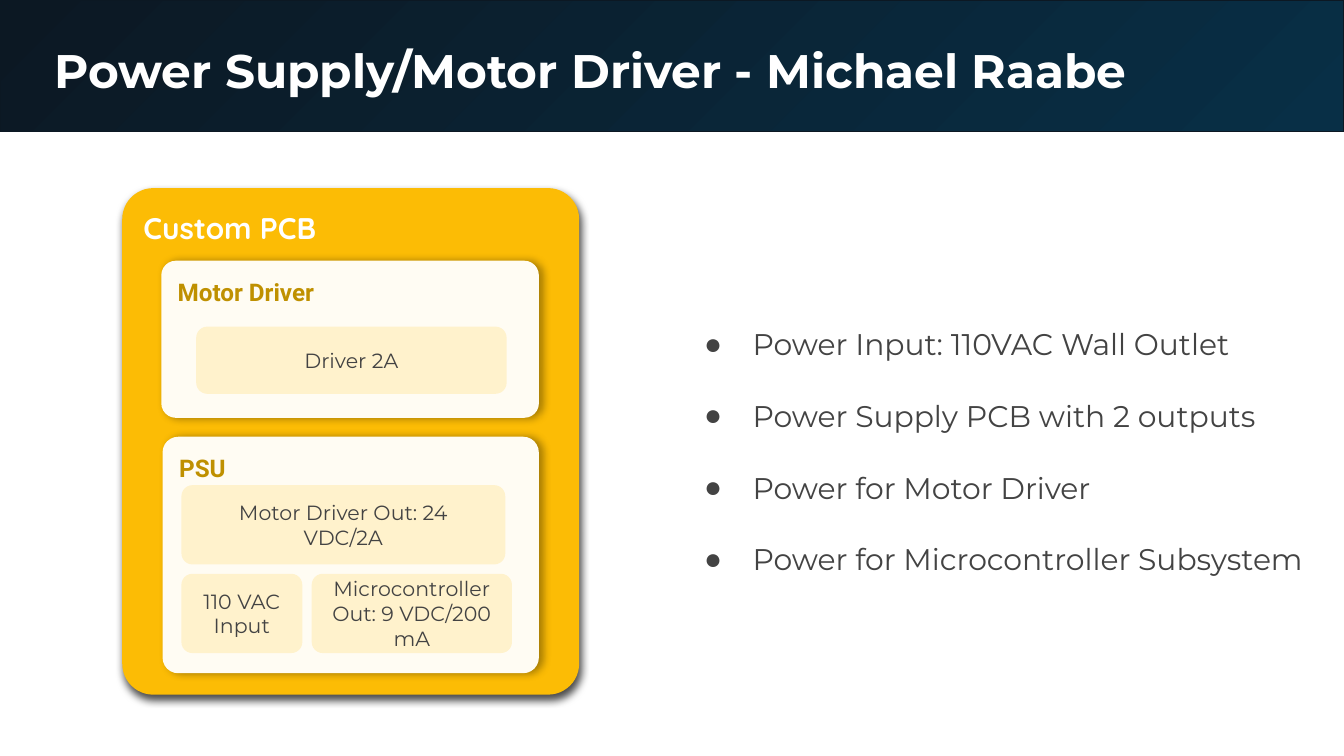
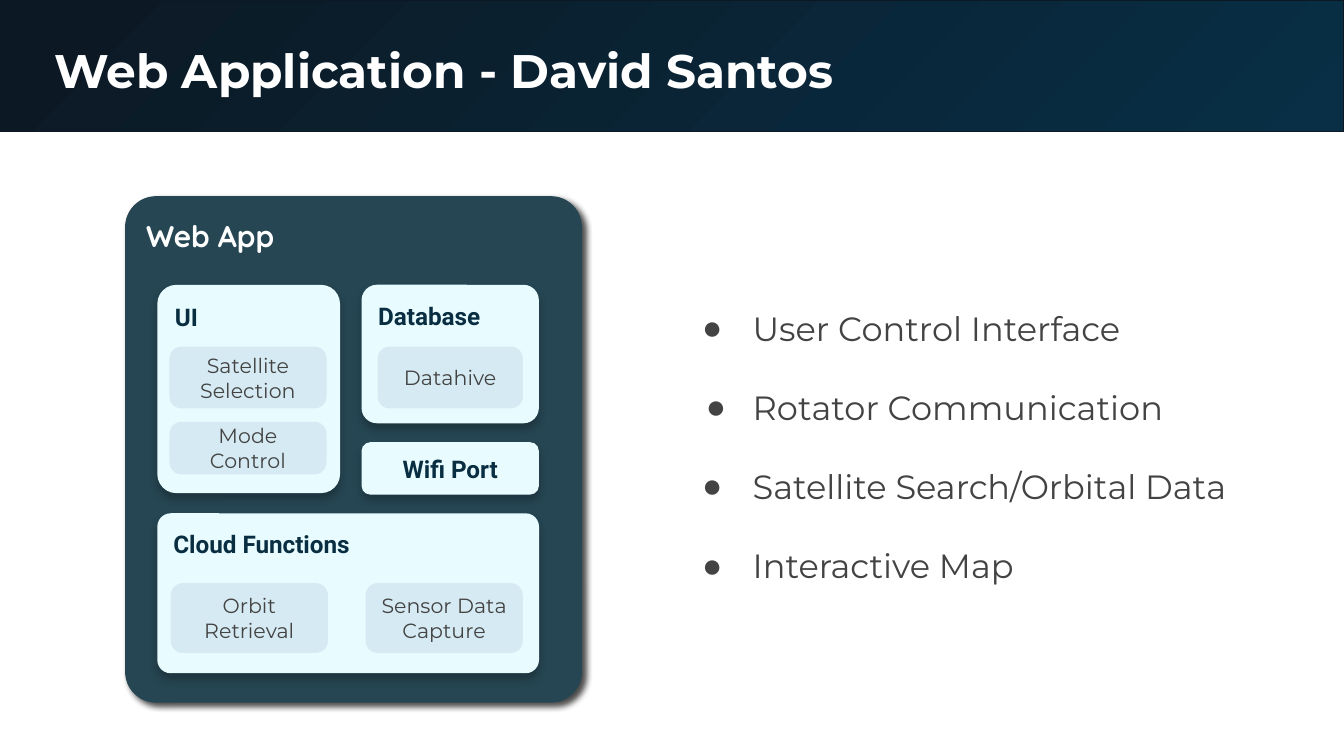
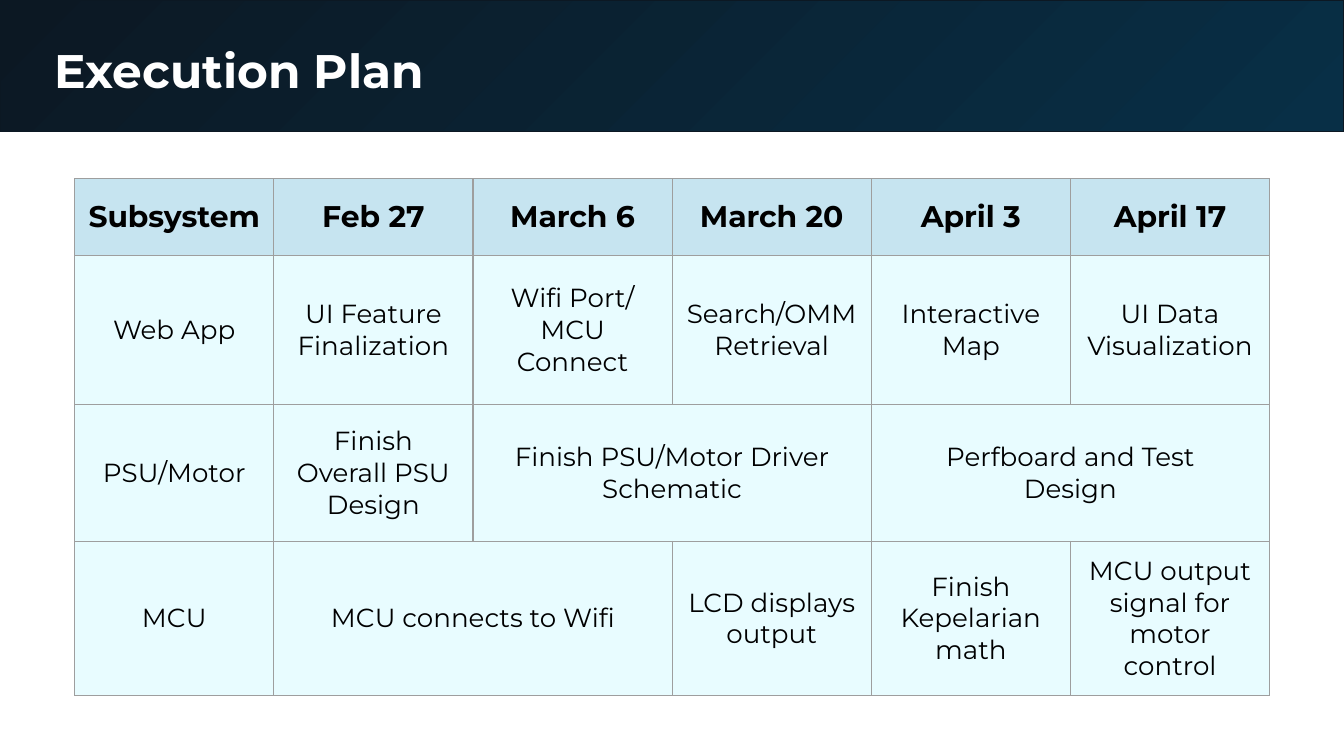
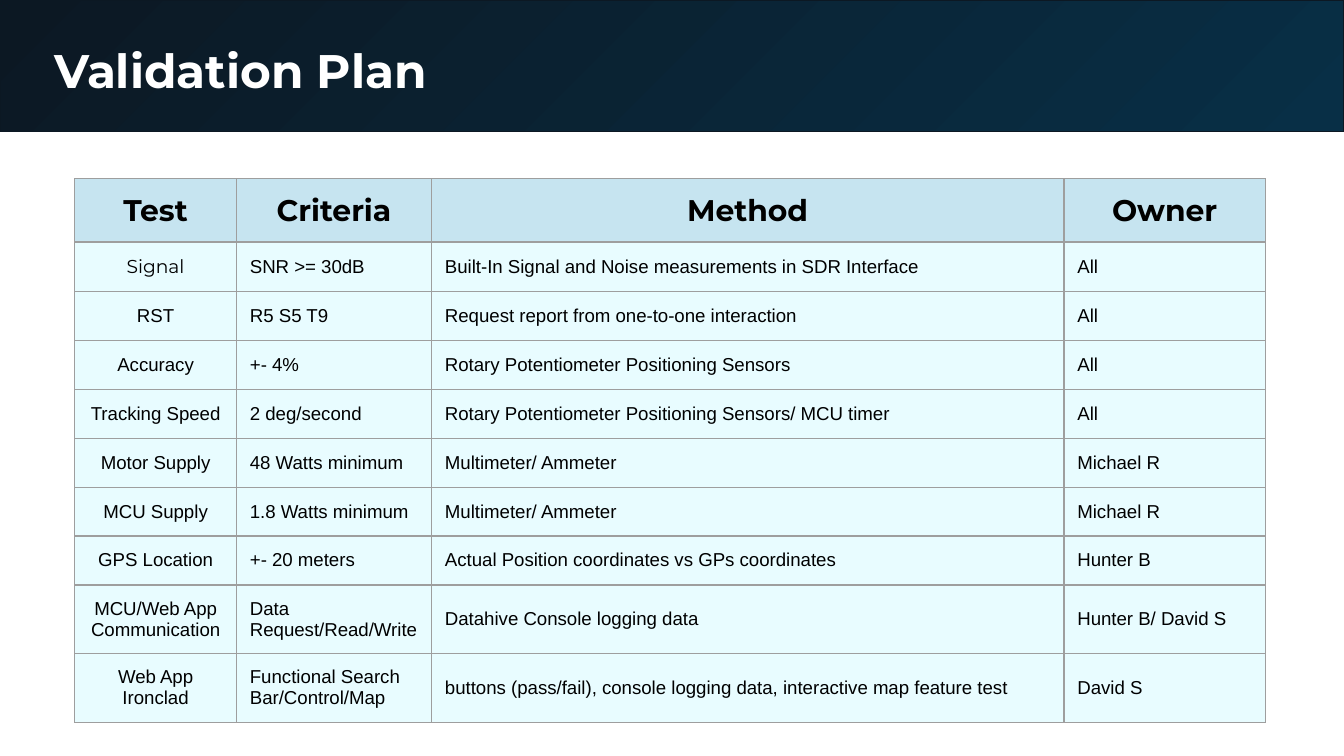
from collections import namedtuple
from dataclasses import dataclass

from lxml import etree
from pptx import Presentation
from pptx.dml.color import RGBColor
from pptx.enum.shapes import MSO_SHAPE
from pptx.enum.text import MSO_ANCHOR, MSO_AUTO_SIZE, PP_ALIGN
from pptx.oxml.ns import qn
from pptx.util import Pt

RECTANGLE, ROUNDED = MSO_SHAPE.RECTANGLE, MSO_SHAPE.ROUNDED_RECTANGLE
TOP, MIDDLE = MSO_ANCHOR.TOP, MSO_ANCHOR.MIDDLE
LEFT, CENTER = PP_ALIGN.LEFT, PP_ALIGN.CENTER
NO_AUTOFIT = MSO_AUTO_SIZE.NONE

Box = namedtuple("Box", "x y w h")
Font = namedtuple("Font", "name size color bold", defaults=(False,))
Shadow = namedtuple("Shadow", "alpha blur distance angle")
Scheme = namedtuple("Scheme", "card panel heading chip chip_radius chip_inset card_shadow panel_shadow")
Panel = namedtuple("Panel", "heading box radius chips")
Bullets = namedtuple("Bullets", "size line_spacing gap hang")


@dataclass(frozen=True)
class Theme:
    sans: str = "Montserrat"
    bullet_font: str = "Arial"
    band_light: str = "082F46"
    band_dark: str = "0C1823"
    body: str = "434343"
    header_fill: str = "C6E4F0"
    cell_fill: str = "E8FCFF"
    border: str = "9E9E9E"
    border_width: float = 0.75
    card_radius: float = 16.6
    card_inset: float = 6.5
    inset: float = 7.2
    title: Font = Font("Montserrat", 25.2, "FFFFFF", True)
    card_title: Font = Font("Quicksand", 16, "FFFFFF", True)
    chip: Font = Font("Montserrat", 11, "434343")
    table_head: Font = Font("Montserrat", 16, "000000", True)
    plan_cell: Font = Font("Montserrat", 14, "000000")
    test_lead: Font = Font("Montserrat", 10, "000000")
    test_cell: Font = Font("Arial", 10, "000000")


THEME = Theme()
SLIDE = Box(0, 0, 720, 405)
BAND = Box(0, 0, 720, 70.6)
TITLE = Box(22, 15.1, 671, 45.4)
TABLE_X, TABLE_Y = 40, 95.8

AMBER = Scheme("FCBC05", "FFFCF3", Font("Roboto", 13, "BF9000", True), "FFF2CC",
               5.9, 7.2, Shadow(69, 4.5, 3, 70), Shadow(35, 4.5, 2.2, 0))
TEAL = Scheme("264653", "E8FCFF", Font("Roboto", 13, "092D41", True), "D5EAF2",
              6.4, 6, Shadow(71, 3.4, 3, 41), Shadow(23, 4.5, 3, 90))

# Panels are placed relative to their card, chips relative to their panel
PCB_PANELS = [
    Panel("PSU", Box(21.6, 133.2, 201.6, 126.7), 8.4, [
        ("Motor Driver Out: 24 VDC/2A", Box(10.1, 25.9, 173.5, 42.5)),
        ("110 VAC\nInput", Box(10.1, 73.4, 64.8, 42.5)),
        ("Microcontroller\nOut: 9 VDC/200 mA", Box(79.9, 73.4, 107.3, 42.5)),
    ]),
    Panel("Motor Driver", Box(20.9, 38.9, 202.3, 84.2), 7.8, [
        ("Driver 2A", Box(18.7, 35.3, 166.3, 36)),
    ]),
]
WEB_PANELS = [
    Panel("Database", Box(126.7, 47.5, 95, 74.2), 8.2, [
        ("Datahive", Box(8.6, 33.1, 77.8, 33.1)),
    ]),
    Panel("Cloud Functions", Box(17.3, 169.9, 204.5, 85.7), 7.2, [
        ("Orbit Retrieval", Box(7.2, 37.4, 84.2, 37.4)),
        ("Sensor Data Capture", Box(111.6, 37.4, 84.2, 37.4)),
    ]),
    Panel("UI", Box(17.3, 47.5, 97.9, 111.6), 10.2, [
        ("Satellite Selection", Box(6.5, 33.1, 84.2, 33.1)),
        ("Mode Control", Box(6.5, 73.4, 84.2, 28.1)),
    ]),
    Panel("Wifi Port", Box(126.7, 131.8, 95, 28.1), 4.7, []),
]
POWER_POINTS = [
    "Power Input: 110VAC Wall Outlet",
    "Power Supply PCB with 2 outputs",
    "Power for Motor Driver",
    "Power for Microcontroller Subsystem",
]
WEB_POINTS = [
    "User Control Interface",
    "Rotator Communication",
    "Satellite Search/Orbital Data",
    "Interactive Map",
]

# None continues the cell to its left
EXECUTION = [
    ["Subsystem", "Feb 27", "March 6", "March 20", "April 3", "April 17"],
    ["Web App", "UI Feature Finalization", "Wifi Port/ MCU Connect",
     "Search/OMM Retrieval", "Interactive Map", "UI Data Visualization"],
    ["PSU/Motor", "Finish Overall PSU Design", "Finish PSU/Motor Driver Schematic", None,
     "Perfboard and Test\nDesign", None],
    ["MCU", "MCU connects to Wifi", None, "LCD displays output",
     "Finish Kepelarian math", "MCU output signal for motor control"],
]
VALIDATION = [
    ["Test", "Criteria", "Method", "Owner"],
    ["Signal", "SNR >= 30dB", "Built-In Signal and Noise measurements in SDR Interface", "All"],
    ["RST", "R5 S5 T9", "Request report from one-to-one interaction", "All"],
    ["Accuracy", "+- 4%", "Rotary Potentiometer Positioning Sensors", "All"],
    ["Tracking Speed", "2 deg/second", "Rotary Potentiometer Positioning Sensors/ MCU timer", "All"],
    ["Motor Supply", "48 Watts minimum", "Multimeter/ Ammeter", "Michael R"],
    ["MCU Supply", "1.8 Watts minimum", "Multimeter/ Ammeter", "Michael R"],
    ["GPS Location", "+- 20 meters", "Actual Position coordinates vs GPs coordinates", "Hunter B"],
    ["MCU/Web App Communication", "Data Request/Read/Write", "Datahive Console logging data",
     "Hunter B/ David S"],
    ["Web App Ironclad", "Functional Search Bar/Control/Map",
     "buttons (pass/fail), console logging data, interactive map feature test", "David S"],
]


# Shared helpers
def lengths(box):
    return [Pt(value) for value in box]


def inside(outer, box):
    return Box(outer.x + box.x, outer.y + box.y, box.w, box.h)


def add_xml(parent, tag, **attributes):
    return etree.SubElement(parent, qn(tag), {key: str(value) for key, value in attributes.items()})


def write(frame, text, font, align=LEFT):
    frame.text = text
    for paragraph in frame.paragraphs:
        paragraph.alignment = align
        for run in paragraph.runs:
            run.font.name = font.name
            run.font.size = Pt(font.size)
            run.font.bold = font.bold
            run.font.color.rgb = RGBColor.from_string(font.color)


def set_frame(frame, inset, anchor):
    frame.word_wrap = True
    frame.auto_size = NO_AUTOFIT
    frame.margin_left = frame.margin_right = Pt(inset)
    frame.margin_top = frame.margin_bottom = Pt(inset)
    frame.vertical_anchor = anchor


def place(placeholder, box):
    placeholder.left, placeholder.top, placeholder.width, placeholder.height = lengths(box)
    set_frame(placeholder.text_frame, THEME.inset, TOP)


def add_shadow(shape, shadow):
    effects = shape._element.spPr.find(qn("a:effectLst"))
    outer = add_xml(effects, "a:outerShdw", blurRad=Pt(shadow.blur), dist=Pt(shadow.distance),
                    dir=shadow.angle * 60000, algn="bl", rotWithShape=0)
    add_xml(add_xml(outer, "a:srgbClr", val="000000"), "a:alpha", val=shadow.alpha * 1000)


def add_tile(slide, box, fill, radius, text, font, inset, centered=False, shadow=None):
    tile = slide.shapes.add_shape(ROUNDED, *lengths(box))
    tile.adjustments[0] = round(radius / min(box.w, box.h), 3)
    tile.fill.solid()
    tile.fill.fore_color.rgb = RGBColor.from_string(fill)
    tile.line.fill.background()
    tile.shadow.inherit = False
    if shadow:
        add_shadow(tile, shadow)
    set_frame(tile.text_frame, inset, MIDDLE if centered else TOP)
    write(tile.text_frame, text, font, CENTER if centered else LEFT)


# Header band, drawn once and kept on the slide master
def move_band_to_master(prs, slide):
    band = slide.shapes.add_shape(RECTANGLE, *lengths(BAND))
    band.shadow.inherit = False
    band.line.color.rgb = RGBColor.from_string(THEME.band_dark)
    band.line.width = Pt(THEME.border_width)
    gradient = etree.Element(qn("a:gradFill"), rotWithShape="1")
    stops = add_xml(gradient, "a:gsLst")
    for position, color in ((0, THEME.band_light), (100000, THEME.band_dark)):
        add_xml(add_xml(stops, "a:gs", pos=position), "a:srgbClr", val=color)
    centre = add_xml(gradient, "a:path", path="circle")
    add_xml(centre, "a:fillToRect", l=100000, t=100000)
    band._element.spPr.find(qn("a:prstGeom")).addnext(gradient)
    prs.slide_master.shapes._spTree.insert(2, band._element)


def add_titled_slide(prs, layout_name, title):
    slide = prs.slides.add_slide(prs.slide_layouts.get_by_name(layout_name))
    place(slide.shapes.title, TITLE)
    write(slide.shapes.title.text_frame, title, THEME.title)
    return slide


# Subsystem card with panels and chips
def add_card(slide, box, title, scheme, panels):
    add_tile(slide, box, scheme.card, THEME.card_radius, title, THEME.card_title,
             THEME.card_inset, shadow=scheme.card_shadow)
    for panel in panels:
        panel_box = inside(box, panel.box)
        add_tile(slide, panel_box, scheme.panel, panel.radius, panel.heading, scheme.heading,
                 THEME.card_inset, not panel.chips, scheme.panel_shadow)
        for label, chip_box in panel.chips:
            add_tile(slide, inside(panel_box, chip_box), scheme.chip, scheme.chip_radius,
                     label, THEME.chip, scheme.chip_inset, True)


# Bulleted list in the body placeholder
def fill_bullets(slide, box, points, style):
    body = slide.placeholders[1]
    place(body, box)
    write(body.text_frame, "\n".join(points), Font(THEME.sans, style.size, THEME.body))
    for index, paragraph in enumerate(body.text_frame.paragraphs):
        paragraph.line_spacing = style.line_spacing
        paragraph.space_before = Pt(style.gap if index else 0)
        properties = paragraph._p.get_or_add_pPr()
        properties.set("marL", str(Pt(36)))
        properties.set("indent", str(Pt(-style.hang[index])))
        add_xml(add_xml(properties, "a:buClr"), "a:srgbClr", val=THEME.body)
        add_xml(properties, "a:buFont", typeface=THEME.bullet_font)
        add_xml(properties, "a:buChar", char="●")


def subsystem_slide(prs, title, card_box, card_title, scheme, panels, list_box, points, style):
    slide = add_titled_slide(prs, "Title and Content", title)
    fill_bullets(slide, list_box, points, style)
    add_card(slide, card_box, card_title, scheme, panels)
    return slide


# Plan tables
def format_cell(cell, fill):
    properties = cell._tc.get_or_add_tcPr()
    for side in ("a:lnL", "a:lnR", "a:lnT", "a:lnB"):
        edge = add_xml(properties, side, w=Pt(THEME.border_width))
        add_xml(add_xml(edge, "a:solidFill"), "a:srgbClr", val=THEME.border)
    cell.fill.solid()
    cell.fill.fore_color.rgb = RGBColor.from_string(fill)
    cell.vertical_anchor = MIDDLE
    cell.margin_left = cell.margin_right = Pt(THEME.inset)
    cell.margin_top = cell.margin_bottom = Pt(THEME.inset)


def plan_slide(prs, title, rows, widths, heights, cell_style):
    slide = add_titled_slide(prs, "Title Only", title)
    box = Box(TABLE_X, TABLE_Y, sum(widths), sum(heights))
    table = slide.shapes.add_table(len(rows), len(widths), *lengths(box)).table
    table.first_row = table.horz_banding = False
    for column, width in zip(table.columns, widths):
        column.width = Pt(width)
    for row, height in zip(table.rows, heights):
        row.height = Pt(height)
    for r, texts in enumerate(rows):
        for c, text in enumerate(texts):
            cell = table.cell(r, c)
            format_cell(cell, THEME.cell_fill if r else THEME.header_fill)
            if text is None:
                table.cell(r, c - 1).merge(cell)
            else:
                font, align = cell_style(r, c)
                write(cell.text_frame, text, font, align)


def execution_style(row, column):
    return (THEME.plan_cell if row else THEME.table_head), CENTER


def validation_style(row, column):
    if row == 0:
        return THEME.table_head, CENTER
    font = THEME.test_lead if (row, column) == (1, 0) else THEME.test_cell
    return font, LEFT if column else CENTER


def main():
    prs = Presentation()
    prs.slide_width, prs.slide_height = Pt(SLIDE.w), Pt(SLIDE.h)

    power = subsystem_slide(
        prs, "Power Supply/Motor Driver - Michael Raabe",
        Box(65.5, 100.8, 244.8, 271.4), "Custom PCB", AMBER, PCB_PANELS,
        Box(360, 148.3, 351.4, 150.5), POWER_POINTS, Bullets(16, 2.0, 0, [26] * 4))
    move_band_to_master(prs, power)
    subsystem_slide(
        prs, "Web Application - David Santos",
        Box(67, 105.1, 244.8, 271.4), "Web App", TEAL, WEB_PANELS,
        Box(360, 146.9, 324, 187.2), WEB_POINTS, Bullets(18, 1.5, 10, [27, 25, 27, 27]))

    plan_slide(prs, "Execution Plan", EXECUTION, [106.7] * 6, [41, 79.9, 73.4, 77.8],
               execution_style)
    plan_slide(prs, "Validation Plan", VALIDATION, [86.7, 104.5, 338.8, 108],
               [31] + [26.2] * 9, validation_style)
    prs.save("out.pptx")


if __name__ == "__main__":
    main()
